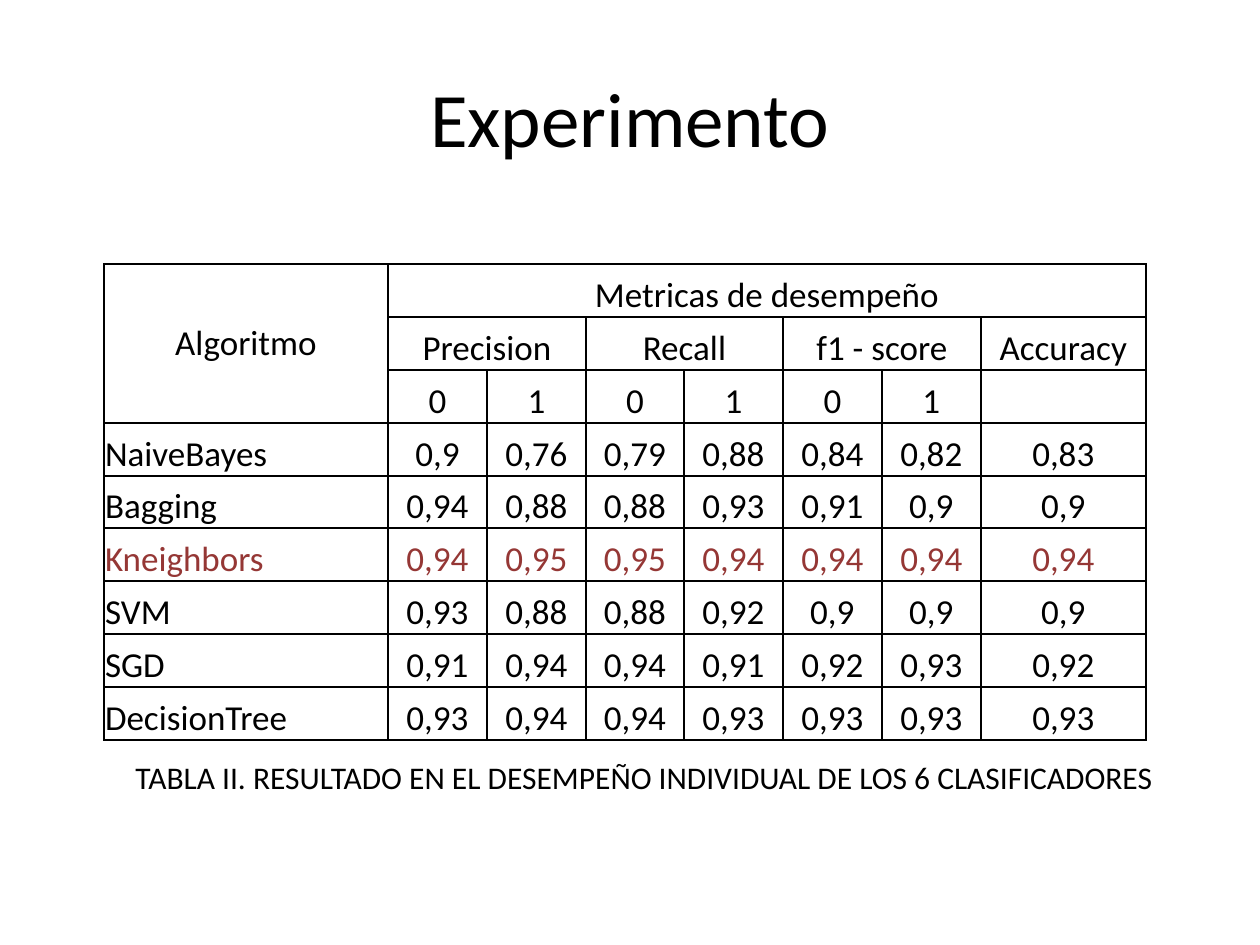
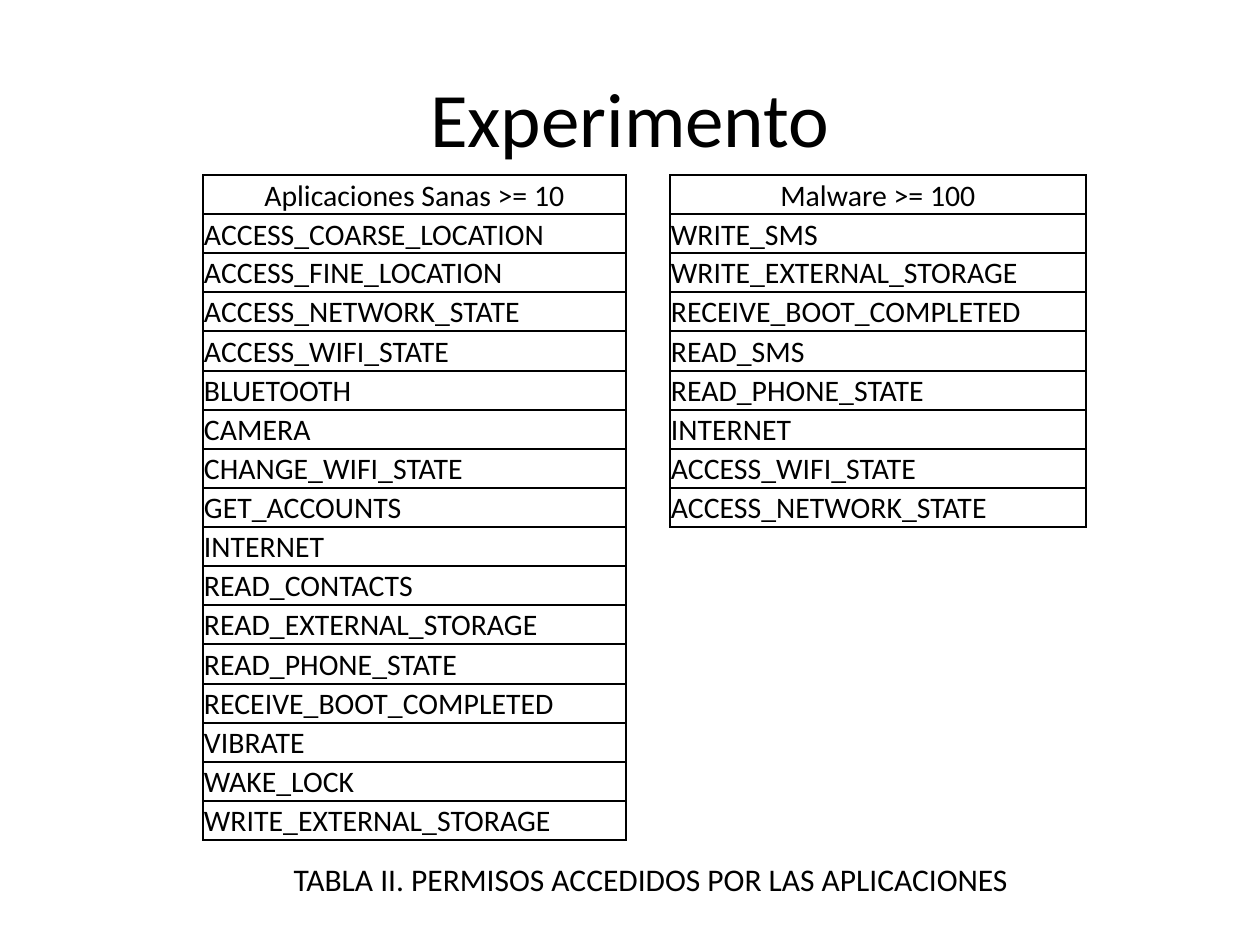
from itertools import product

from lxml.etree import SubElement
from pptx import Presentation
from pptx.dml.color import RGBColor
from pptx.enum.text import MSO_ANCHOR as Anchor, PP_ALIGN as Align
from pptx.oxml.ns import qn
from pptx.util import Pt

PX = 914400 / 126  # EMU in one px
COLORS = {"text": "000000", "line": "000000", "cell": "FFFFFF", "best": "953735"}
FONT = "Calibri"
SIDES = {"a:lnL": (0, -1), "a:lnR": (0, 1), "a:lnT": (-1, 0), "a:lnB": (1, 0)}

METRICS = [
    ["Algoritmo", "Metricas de desempeño", "", "", "", "", "", ""],
    ["", "Precision", "", "Recall", "", "f1 - score", "", "Accuracy"],
    ["", "0", "1", "0", "1", "0", "1", ""],
    ["NaiveBayes", "0,9", "0,76", "0,79", "0,88", "0,84", "0,82", "0,83"],
    ["Bagging", "0,94", "0,88", "0,88", "0,93", "0,91", "0,9", "0,9"],
    ["Kneighbors", "0,94", "0,95", "0,95", "0,94", "0,94", "0,94", "0,94"],
    ["SVM", "0,93", "0,88", "0,88", "0,92", "0,9", "0,9", "0,9"],
    ["SGD", "0,91", "0,94", "0,94", "0,91", "0,92", "0,93", "0,92"],
    ["DecisionTree", "0,93", "0,94", "0,94", "0,93", "0,93", "0,93", "0,93"],
]
METRIC_SPANS = [(0, 0, 2, 0), (0, 1, 0, 7), (1, 1, 1, 2), (1, 3, 1, 4), (1, 5, 1, 6)]

HEALTHY = [
    "Aplicaciones Sanas >= 10", "ACCESS_COARSE_LOCATION", "ACCESS_FINE_LOCATION",
    "ACCESS_NETWORK_STATE", "ACCESS_WIFI_STATE", "BLUETOOTH", "CAMERA",
    "CHANGE_WIFI_STATE", "GET_ACCOUNTS", "INTERNET", "READ_CONTACTS",
    "READ_EXTERNAL_STORAGE", "READ_PHONE_STATE", "RECEIVE_BOOT_COMPLETED",
    "VIBRATE", "WAKE_LOCK", "WRITE_EXTERNAL_STORAGE",
]
MALWARE = [
    "Malware >= 100", "WRITE_SMS", "WRITE_EXTERNAL_STORAGE", "RECEIVE_BOOT_COMPLETED",
    "READ_SMS", "READ_PHONE_STATE", "INTERNET", "ACCESS_WIFI_STATE",
    "ACCESS_NETWORK_STATE",
]


def emu(px):
    return round(px * PX)


def split(total, count):
    """Divide a length into whole px parts that add up to it."""
    edges = [round(total * i / count) for i in range(count + 1)]
    return [end - start for start, end in zip(edges, edges[1:])]


def write(frame, text, size=18, color="text", align=Align.LEFT):
    paragraph = frame.paragraphs[0]
    paragraph.alignment = align
    if not text:  # keeps an empty cell from growing its row
        SubElement(paragraph._p, qn("a:endParaRPr"), sz=str(size * 100))
        return
    run = paragraph.add_run()
    run.text = text
    run.font.size = Pt(size)
    run.font.name = FONT
    run.font.color.rgb = RGBColor.from_string(COLORS[color])


def add_label(slide, box, text, wrap=True, anchor=Anchor.TOP, **text_format):
    frame = slide.shapes.add_textbox(*map(emu, box)).text_frame
    frame.word_wrap = wrap
    frame.vertical_anchor = anchor
    write(frame, text, **text_format)


def add_title(slide):
    add_label(slide, (63, 38, 1134, 158), "Experimento", anchor=Anchor.MIDDLE,
              size=44, align=Align.CENTER)


def draw_borders(cell, framed, row, column):
    """Draw each side where this cell or its neighbour is framed."""
    properties = cell._tc.get_or_add_tcPr()
    for tag, (down, right) in SIDES.items():
        line = SubElement(properties, qn(tag), w=str(Pt(1)))
        if {(row, column), (row + down, column + right)} & framed:
            fill = SubElement(line, qn("a:solidFill"))
            SubElement(fill, qn("a:srgbClr"), val=COLORS["line"])
        else:
            SubElement(line, qn("a:noFill"))


def add_grid(slide, box, widths, rows, style, spans=()):
    """Draw a table; None is a gap without borders, style gives each cell's format."""
    table = slide.shapes.add_table(len(rows), len(widths), *map(emu, box)).table
    table.first_row = table.horz_banding = False
    for column, width in zip(table.columns, widths):
        column.width = emu(width)
    for row, height in zip(table.rows, split(box[3], len(rows))):
        row.height = emu(height)
    places = list(product(range(len(rows)), range(len(widths))))
    framed = {(r, c) for r, c in places if rows[r][c] is not None}
    for r, c in places:
        cell = table.cell(r, c)
        draw_borders(cell, framed, r, c)
        cell.fill.solid()
        cell.fill.fore_color.rgb = RGBColor.from_string(COLORS["cell"])
        cell.margin_left = cell.margin_right = cell.margin_top = emu(1)
        cell.margin_bottom = 0
        cell.vertical_anchor = Anchor.BOTTOM
        write(cell.text_frame, rows[r][c], **style(r, c))
    for top, left, bottom, right in spans:
        table.cell(top, left).merge(table.cell(bottom, right))
    return table


def metrics_slide(slide):
    def style(r, c):
        return {"size": 20,
                "color": "best" if METRICS[r][0] == "Kneighbors" else "text",
                "align": Align.LEFT if c == 0 and r > 2 else Align.CENTER}

    add_title(slide)
    widths = [284, *split(593, 6), 165]
    table = add_grid(slide, (104, 264, sum(widths), 476), widths, METRICS, style,
                     METRIC_SPANS)
    table.cell(0, 0).vertical_anchor = Anchor.MIDDLE
    add_label(slide, (123, 752, 1053, 50),
              "TABLA II. RESULTADO EN EL DESEMPEÑO INDIVIDUAL DE LOS 6 CLASIFICADORES",
              wrap=False)


def permissions_slide(slide):
    def style(r, c):
        return {"size": 17, "align": Align.LEFT if r else Align.CENTER}

    add_title(slide)
    widths = [423, 44, 416]
    padding = [None] * (len(HEALTHY) - len(MALWARE))
    rows = [[healthy, None, malware]
            for healthy, malware in zip(HEALTHY, MALWARE + padding)]
    add_grid(slide, (203, 175, sum(widths), 665), widths, rows, style)
    add_label(slide, (278, 854, 746, 50),
              "TABLA II. PERMISOS ACCEDIDOS POR LAS APLICACIONES",
              wrap=False, align=Align.CENTER)


def main():
    deck = Presentation()
    deck.slide_width, deck.slide_height = emu(1260), emu(945)
    for build in (metrics_slide, permissions_slide):
        build(deck.slides.add_slide(deck.slide_layouts[6]))
    deck.save("out.pptx")


if __name__ == "__main__":
    main()
